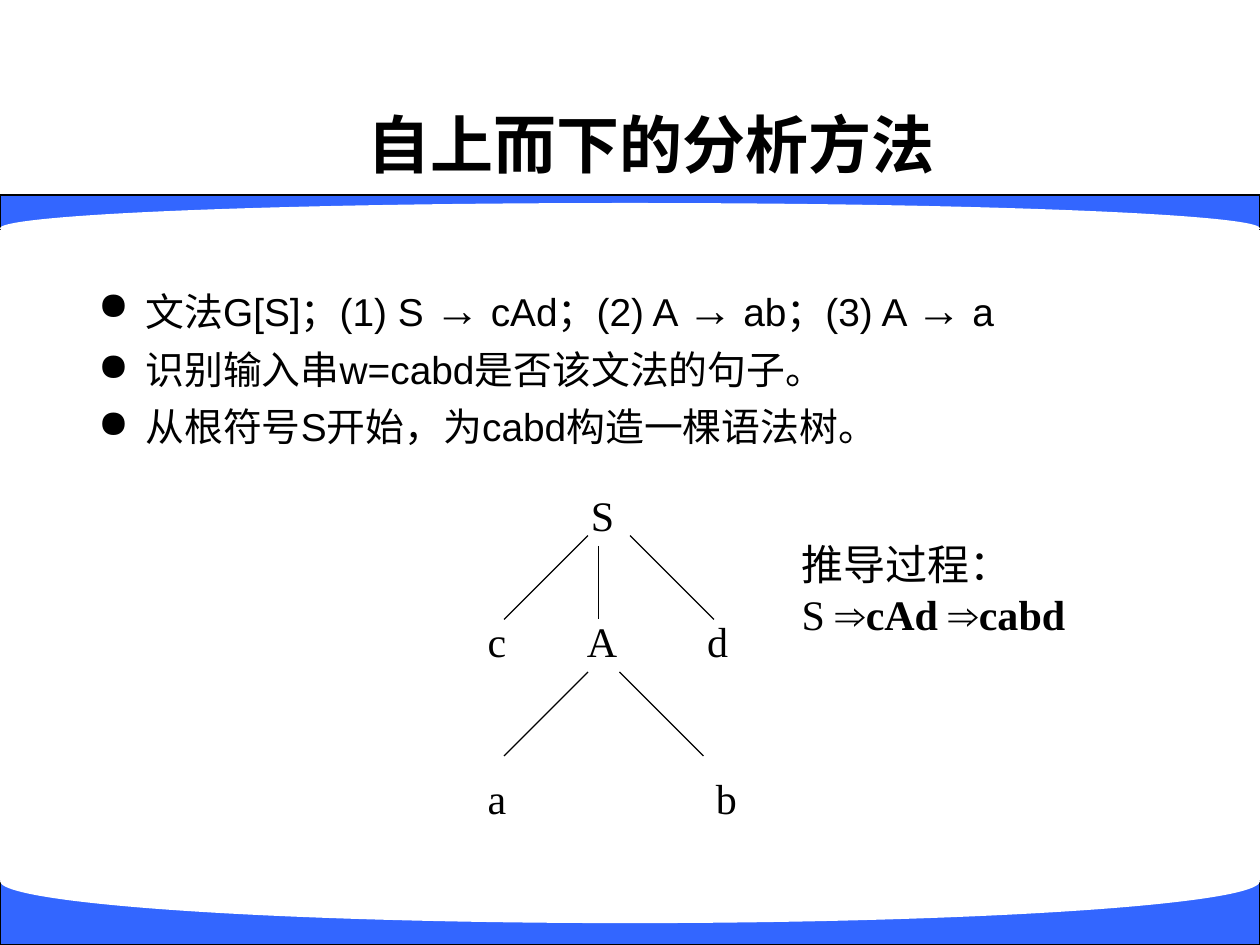
from lxml import etree
from pptx import Presentation
from pptx.dml.color import RGBColor
from pptx.enum.shapes import MSO_CONNECTOR, MSO_SHAPE
from pptx.enum.text import MSO_ANCHOR, PP_ALIGN
from pptx.oxml.ns import qn
from pptx.util import Pt

LINE = MSO_CONNECTOR.STRAIGHT
RECT, OVAL = MSO_SHAPE.RECTANGLE, MSO_SHAPE.OVAL
MID = MSO_ANCHOR.MIDDLE
LEFT, CENTER = PP_ALIGN.LEFT, PP_ALIGN.CENTER
BLACK, WHITE, BLUE = "000000", "FFFFFF", "3366FF"
SANS, SERIF = "Arial", "Times New Roman"
WIDE = 720

TITLE = {"name": SANS, "size": Pt(36), "bold": True}
BODY = {"name": SANS, "size": Pt(22.2)}
ARROW = {"name": SANS, "size": Pt(25.9)}
NODE = {"name": SERIF, "size": Pt(24)}
STRONG = {**NODE, "bold": True}
STEP = {**STRONG, "name": SANS}

RULES = [
    [("文法G[S]；(1) S ", BODY), ("→", ARROW), (" cAd；(2) A ", BODY),
     ("→", ARROW), (" ab；(3) A ", BODY), ("→", ARROW), (" a", BODY)],
    [("识别输入串w=cabd是否该文法的句子。", BODY)],
    [("从根符号S开始，为cabd构造一棵语法树。", BODY)],
]
PROOF = [
    [("推导过程：", NODE)],
    [("S ", NODE), ("⇒", STEP), ("cAd ", STRONG), ("⇒", STEP), ("cabd", STRONG)],
]
# Letter, centre x, top, width
NODES = [
    ("S", 344, 276, 27),
    ("c", 284, 348, 25), ("A", 344, 348, 32), ("d", 410, 348, 26),
    ("a", 284, 438, 25), ("b", 415, 438, 26),
]
# Start x and y, end x and y
EDGES = [
    (336, 306, 288, 354), (342, 312, 342, 354), (360, 306, 408, 354),
    (336, 384, 288, 432), (354, 384, 402, 432),
]


def color(code):
    return RGBColor.from_string(code)


def add_band(slide, kind, top, height, fill, edge=None):
    """Add a shape that spans the whole width of the slide."""
    band = slide.shapes.add_shape(kind, 0, Pt(top), Pt(WIDE), Pt(height))
    band.shadow.inherit = False
    band.fill.solid()
    band.fill.fore_color.rgb = color(fill)
    if edge:
        band.line.color.rgb = color(edge)
        band.line.width = Pt(0.75)
    else:
        band.line.fill.background()


def add_bullet(para):
    props = para._p.get_or_add_pPr()
    props.set("marL", str(Pt(27)))
    props.set("indent", str(-Pt(27)))
    tint = etree.SubElement(props, qn("a:buClr"))
    etree.SubElement(tint, qn("a:srgbClr"), val=BLACK)
    etree.SubElement(props, qn("a:buChar"), char="●")


def add_text(slide, box, paras, align=LEFT, wrap=True, bullet=False, anchor=None):
    """Add a text box; each paragraph is a list of (text, format) runs."""
    frame = slide.shapes.add_textbox(*map(Pt, box)).text_frame
    frame.word_wrap = wrap
    if anchor is not None:
        frame.vertical_anchor = anchor
    for i, runs in enumerate(paras):
        para = frame.add_paragraph() if i else frame.paragraphs[0]
        para.alignment = align
        if bullet:
            if i:
                para.space_before = Pt(6)
            add_bullet(para)
        for text, style in runs:
            run = para.add_run()
            run.text = text
            run.font.color.rgb = color(BLACK)
            for key, value in style.items():
                setattr(run.font, key, value)


def add_edge(slide, ends):
    edge = slide.shapes.add_connector(LINE, *map(Pt, ends))
    edge.line.color.rgb = color(BLACK)
    edge.line.width = Pt(0.75)
    etree.SubElement(edge._element.spPr, qn("a:effectLst"))


def main():
    deck = Presentation()
    deck.slide_width, deck.slide_height = Pt(WIDE), Pt(540)
    slide = deck.slides.add_slide(deck.slide_layouts[6])

    add_band(slide, RECT, 111.5, 19.5, BLUE, BLACK)
    add_band(slide, OVAL, 116, 29, WHITE)
    add_band(slide, RECT, 503.5, 36.5, BLUE, BLACK)
    add_band(slide, OVAL, 479.5, 48, WHITE)

    add_text(slide, (66, 49, 612, 66), [[("自上而下的分析方法", TITLE)]],
             align=CENTER, anchor=MID)
    add_text(slide, (49, 157, 635, 103), RULES, bullet=True)

    for name, mid, top, width in NODES:
        add_text(slide, (mid - width / 2, top, width, 36), [[(name, NODE)]],
                 align=CENTER, wrap=False)
    for ends in EDGES:
        add_edge(slide, ends)
    add_text(slide, (451, 304, 209, 65), PROOF)

    deck.save("out.pptx")


if __name__ == "__main__":
    main()
